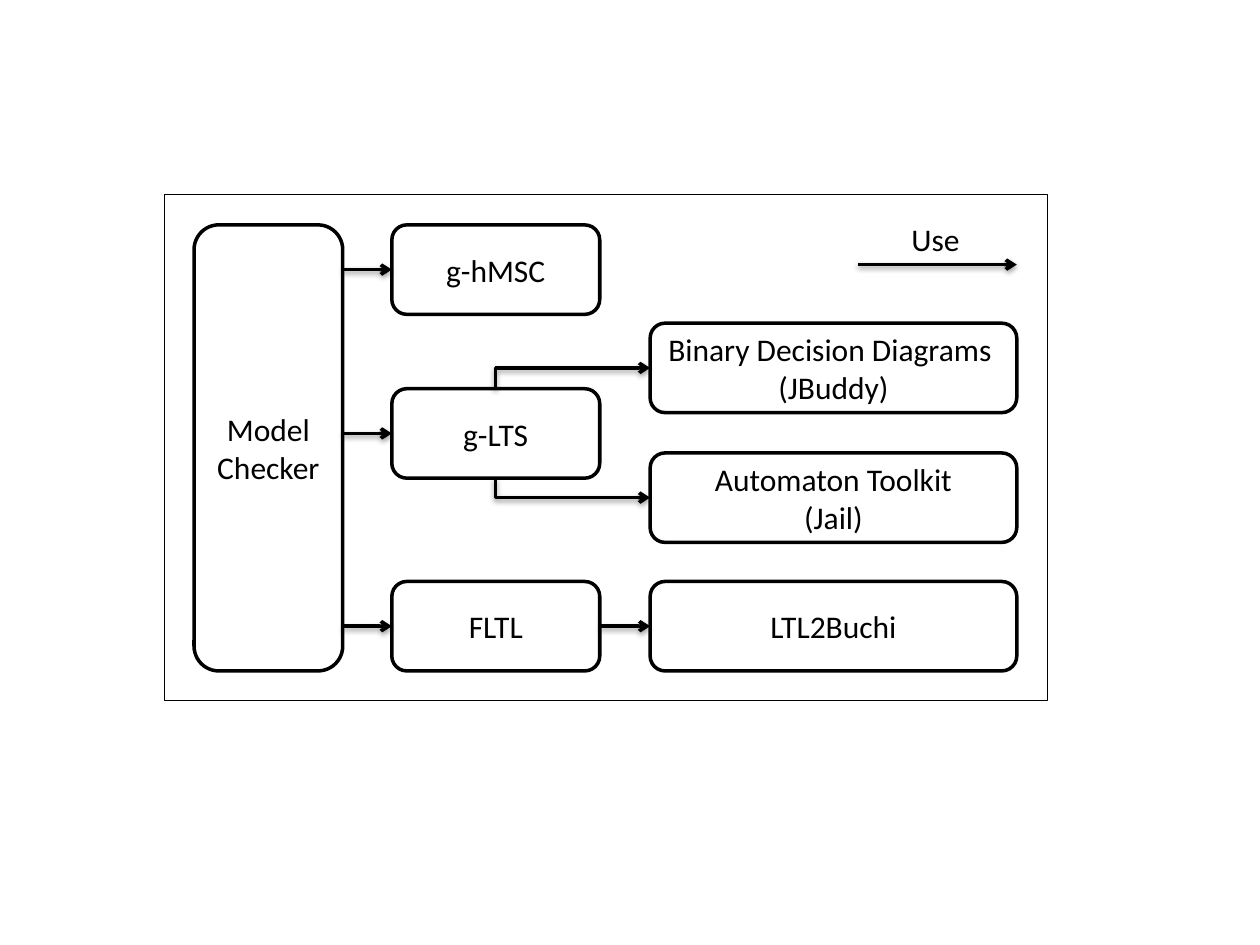
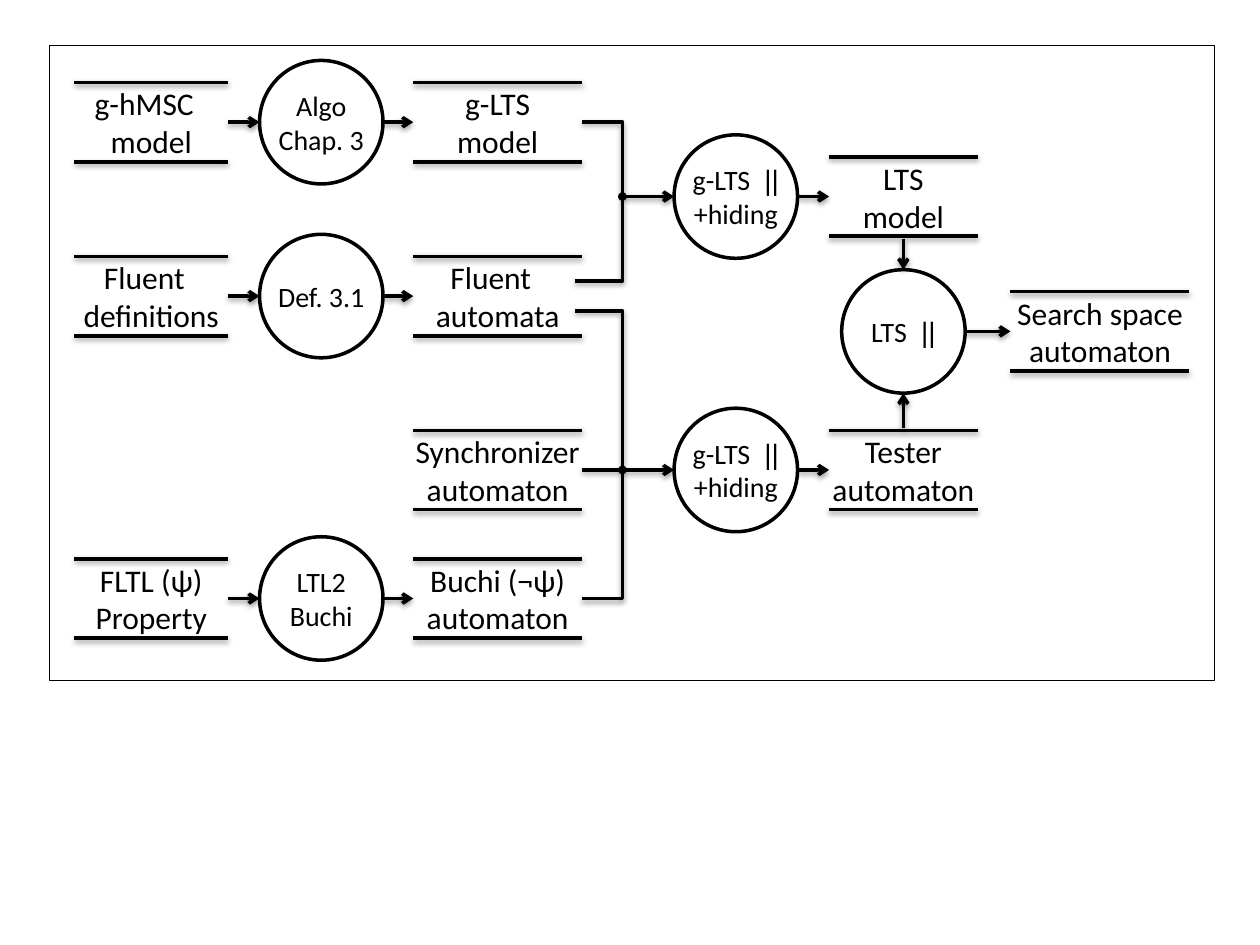
from dataclasses import dataclass

from lxml import etree
from pptx import Presentation
from pptx import util as u
from pptx.dml import color
from pptx.enum import shapes, text
from pptx.oxml import ns

TOP, LEFT, BOTTOM, RIGHT = range(4)
SHAPE = shapes.MSO_SHAPE


@dataclass(frozen=True)
class Theme:
    ink: color.RGBColor = color.RGBColor(0, 0, 0)
    paper: color.RGBColor = color.RGBColor(255, 255, 255)
    font: str = "Calibri"
    symbol_font: str = "Arial"
    size: float = 18
    small: float = 16
    stroke: float = 2
    hairline: float = 0.25
    shadow: str = (
        f'<a:effectLst {ns.nsdecls("a")}><a:outerShdw blurRad="40000" dist="20000" '
        'dir="5400000" rotWithShape="0"><a:srgbClr val="000000">'
        '<a:alpha val="38000"/></a:srgbClr></a:outerShdw></a:effectLst>'
    )


THEME = Theme()

LAYER_COLS = {"checker": (1.54, 1.18), "model": (3.11, 1.65), "library": (5.16, 2.91)}
LAYER_ROWS = {"hmsc": 2.14, "bdd": 2.92, "lts": 3.44, "jail": 3.95, "fltl": 4.97}
BOX_H = 0.71

FLOW_COLS = {
    "input": (0.59, 1.22),
    "translate": (2.06, 0.98),
    "automata": (3.28, 1.34),
    "compose": (5.35, 0.98),
    "result": (6.58, 1.18),
    "product": (6.68, 0.98),
    "search": (8.02, 1.42),
}
FLOW_ROWS = {"hmsc": 0.97, "system": 1.56, "fluent": 2.35, "search": 2.63,
             "sync": 3.73, "property": 4.75}
STORE_H = 0.67
RULE_INSET = 0.02
JOIN_X = 4.94
DOT_D = 0.04
TRAIL = 0.11


def write(sp, lines, size, wrap=True, trail=0):
    tf = sp.text_frame
    tf.word_wrap = wrap
    tf.vertical_anchor = text.MSO_ANCHOR.MIDDLE
    tf.margin_left = tf.margin_right = tf.margin_top = tf.margin_bottom = 0
    for i, line in enumerate(lines):
        p = tf.add_paragraph() if i else tf.paragraphs[0]
        p.alignment = text.PP_ALIGN.CENTER
        if trail:
            p._p.get_or_add_pPr().set("marR", str(0 if i else u.Inches(trail)))
        for part in (line,) if isinstance(line, str) else line:
            r = p.add_run()
            r.text = part
            r.font.name = THEME.symbol_font if "||" in part else THEME.font
            r.font.size = u.Pt(size)
            r.font.color.rgb = THEME.ink


def shape(s, kind, x, y, w, h, fill=THEME.paper, stroke=THEME.stroke):
    sp = s.shapes.add_shape(kind, *map(u.Inches, (x, y, w, h)))
    sp.shadow.inherit = False
    sp.fill.solid()
    sp.fill.fore_color.rgb = fill
    sp.line.color.rgb = THEME.ink
    sp.line.width = u.Pt(stroke)
    return sp


def frame(s, x, y, w, h):
    return shape(s, SHAPE.RECTANGLE, x, y, w, h, stroke=THEME.hairline)


def label(s, x, y, w, h, lines, trail=0):
    sp = s.shapes.add_textbox(*map(u.Inches, (x, y, w, h)))
    write(sp, lines, THEME.size, trail=trail)
    return sp


def box(s, col, row, *lines, h=BOX_H, trail=0):
    x, w = LAYER_COLS[col]
    sp = shape(s, SHAPE.ROUNDED_RECTANGLE, x, LAYER_ROWS[row] - BOX_H / 2, w, h)
    write(sp, lines, THEME.size, trail=trail)
    return sp


def circle(s, col, row, *lines):
    x, d = FLOW_COLS[col]
    sp = shape(s, SHAPE.OVAL, x, FLOW_ROWS[row] - d / 2, d, d)
    write(sp, lines, THEME.small, wrap=False)
    return sp


def store(s, col, row, *lines, trail=0):
    x, w = FLOW_COLS[col]
    y = FLOW_ROWS[row] - STORE_H / 2
    sp = label(s, x, y, w, STORE_H, lines, trail)
    for rule_y in (y + RULE_INSET, y + STORE_H - RULE_INSET):
        connect(s, (x, rule_y), (x + w, rule_y))
    return sp


def dot(s, row):
    shape(s, SHAPE.OVAL, JOIN_X - DOT_D / 2, FLOW_ROWS[row] - DOT_D / 2,
          DOT_D, DOT_D, fill=THEME.ink)


def side(sp, n):
    x = sp.left + {LEFT: 0, RIGHT: sp.width}.get(n, sp.width // 2)
    y = sp.top + {TOP: 0, BOTTOM: sp.height}.get(n, sp.height // 2)
    return u.Emu(x).inches, u.Emu(y).inches


def connect(s, start, end, arrow=None, bent=False):
    kind = shapes.MSO_CONNECTOR.ELBOW if bent else shapes.MSO_CONNECTOR.STRAIGHT
    c = s.shapes.add_connector(kind, *map(u.Inches, (*start, *end)))
    c.line.color.rgb = THEME.ink
    c.line.width = u.Pt(THEME.stroke)
    if bent:
        c._element.spPr.find(ns.qn("a:prstGeom")).set("prst", "bentConnector2")
    if arrow:
        tip = etree.SubElement(c.line._get_or_add_ln(), ns.qn(f"a:{arrow}"))
        tip.set("type", "arrow")
    c._element.spPr.append(etree.fromstring(THEME.shadow))
    return c


def is_round(sp):
    preset = sp.shape_type == shapes.MSO_SHAPE_TYPE.AUTO_SHAPE
    return preset and sp.auto_shape_type == SHAPE.OVAL


def link(s, a, a_side, b, b_side):
    c = connect(s, side(a, a_side), side(b, b_side), "tailEnd")
    if not is_round(a):
        c.begin_connect(a, a_side)
    if not is_round(b):
        c.end_connect(b, b_side)


def chain(s, *items):
    for a, b in zip(items, items[1:]):
        link(s, a, RIGHT, b, LEFT)


def build_layers(s):
    frame(s, 1.3, 1.54, 7.01, 4.02)
    height = LAYER_ROWS["fltl"] - LAYER_ROWS["hmsc"] + BOX_H
    checker = box(s, "checker", "hmsc", "Model", "Checker", h=height)
    hmsc = box(s, "model", "hmsc", "g-hMSC")
    lts = box(s, "model", "lts", "g-LTS")
    fltl = box(s, "model", "fltl", "FLTL")
    bdd = box(s, "library", "bdd", "Binary Decision Diagrams", "(JBuddy)", trail=TRAIL / 2)
    jail = box(s, "library", "jail", "Automaton Toolkit", "(Jail)")
    buchi = box(s, "library", "fltl", "LTL2Buchi")

    checker_right = side(checker, RIGHT)[0]
    for sp in (hmsc, lts, fltl):
        end = side(sp, LEFT)
        c = connect(s, (checker_right, end[1]), end, "tailEnd")
        c.end_connect(sp, LEFT)
    chain(s, fltl, buchi)
    for sp, n in ((bdd, TOP), (jail, BOTTOM)):
        connect(s, side(sp, LEFT), side(lts, n), "headEnd", bent=True)

    label(s, 7.13, 1.7, 0.59, 0.4, ["Use"])
    connect(s, (6.81, 2.1), (8.07, 2.1), "tailEnd")


def build_flow(s):
    frame(s, 0.39, 0.36, 9.25, 5.04)
    parallel = ("g-LTS ", " ||")
    hmsc = store(s, "input", "hmsc", "g-hMSC", "model", trail=TRAIL)
    fluent = store(s, "input", "fluent", "Fluent", "definitions", trail=TRAIL)
    fltl = store(s, "input", "property", "FLTL (ψ)", "Property")
    algo = circle(s, "translate", "hmsc", "Algo", "Chap. 3")
    definition = circle(s, "translate", "fluent", "Def. 3.1")
    ltl2buchi = circle(s, "translate", "property", "LTL2", "Buchi")
    lts = store(s, "automata", "hmsc", "g-LTS", "model")
    automata = store(s, "automata", "fluent", "Fluent", "automata", trail=TRAIL)
    sync = store(s, "automata", "sync", "Synchronizer", "automaton")
    buchi = store(s, "automata", "property", "Buchi (¬ψ)", "automaton")
    system = circle(s, "compose", "system", parallel, "+hiding")
    tester = circle(s, "compose", "sync", parallel, "+hiding")
    system_lts = store(s, "result", "system", "LTS", "model")
    tester_lts = store(s, "result", "sync", "Tester", "automaton")
    product = circle(s, "product", "search", ("LTS ", " ||"))
    search = store(s, "search", "search", "Search space", "automaton")

    chain(s, hmsc, algo, lts)
    chain(s, fluent, definition, automata)
    chain(s, fltl, ltl2buchi, buchi)
    chain(s, system, system_lts)
    chain(s, tester, tester_lts)
    chain(s, product, search)
    link(s, system_lts, BOTTOM, product, TOP)
    link(s, tester_lts, TOP, product, BOTTOM)

    x, y = side(automata, RIGHT)
    feeds = (
        (side(lts, RIGHT), "system"),
        ((x - 0.06, y - 0.12), "system"),
        ((x - 0.06, y + 0.12), "sync"),
        (side(buchi, RIGHT), "sync"),
    )
    for start, row in feeds:
        connect(s, start, (JOIN_X, FLOW_ROWS[row]), bent=True)
    c = connect(s, side(sync, RIGHT), (JOIN_X, FLOW_ROWS["sync"]))
    c.begin_connect(sync, RIGHT)
    for sp, row in ((system, "system"), (tester, "sync")):
        dot(s, row)
        connect(s, (JOIN_X, FLOW_ROWS[row]), side(sp, LEFT), "tailEnd")


def main():
    prs = Presentation()
    prs.slide_width, prs.slide_height = u.Inches(10), u.Inches(7.5)
    for build in (build_layers, build_flow):
        build(prs.slides.add_slide(prs.slide_layouts[6]))
    prs.save("out.pptx")


if __name__ == "__main__":
    main()
